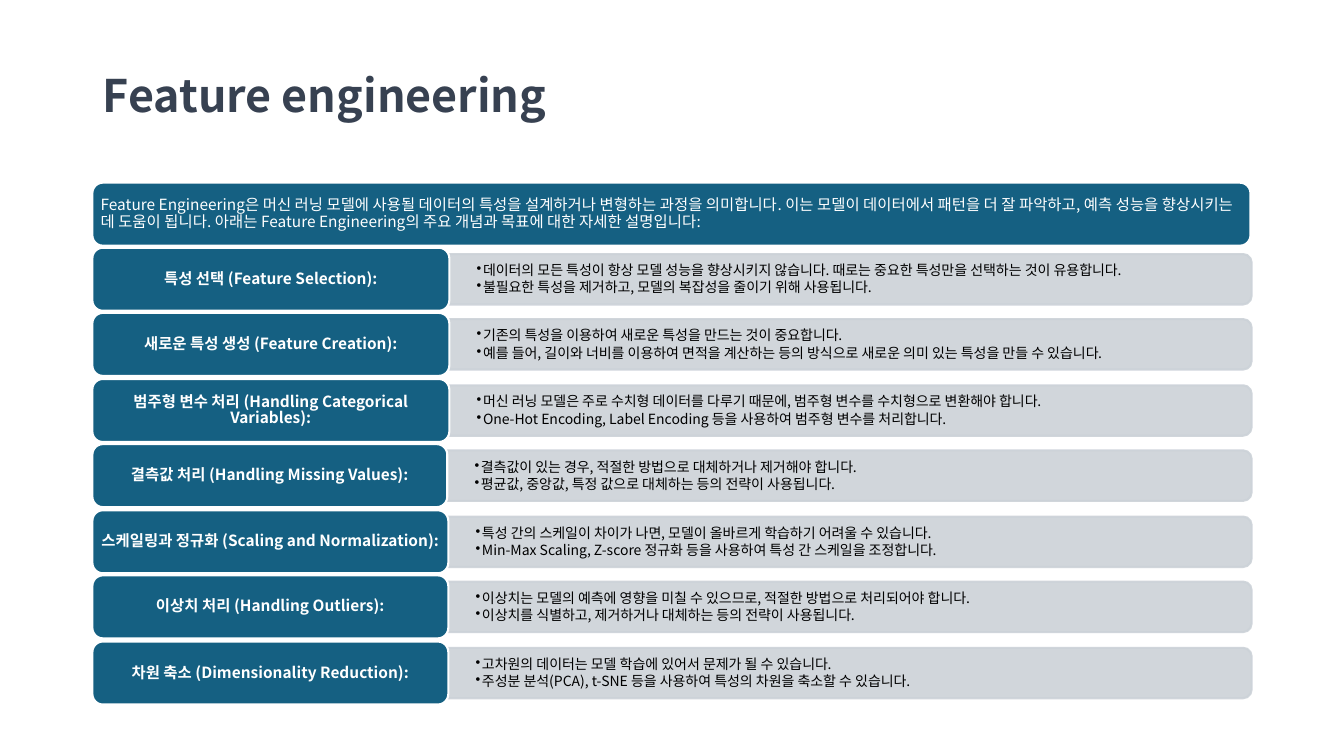
from lxml import etree
from pptx import Presentation
from pptx.dml.color import RGBColor
from pptx.enum.shapes import MSO_SHAPE
from pptx.enum.text import MSO_ANCHOR, PP_ALIGN
from pptx.oxml.ns import qn
from pptx.util import Pt

ROUND = MSO_SHAPE.ROUNDED_RECTANGLE
CAPPED = MSO_SHAPE.ROUND_2_SAME_RECTANGLE
MIDDLE = MSO_ANCHOR.MIDDLE
LEFT, CENTER = PP_ALIGN.LEFT, PP_ALIGN.CENTER

SCALE = 9525
FONT = "Noto Sans CJK KR"
COLORS = {
    "title": "374151",
    "teal": "156082",
    "gray": "CCD2D8",
    "white": "FFFFFF",
    "black": "000000",
}

EDGE, RIGHT = 88, 1192
TOP, HIGH, THICK = 236, 60, 48

INTRO = (
    "Feature Engineering은 머신 러닝 모델에 사용될 데이터의 특성을 설계하거나 "
    "변형하는 과정을 의미합니다. 이는 모델이 데이터에서 패턴을 더 잘 파악하고, "
    "예측 성능을 향상시키는 데 도움이 됩니다. 아래는 Feature Engineering의 주요 "
    "개념과 목표에 대한 자세한 설명입니다:"
)
ROWS = [
    (340, "특성 선택 (Feature Selection):", [
        "데이터의 모든 특성이 항상 모델 성능을 향상시키지 않습니다. 때로는 중요한 특성만을 선택하는 것이 유용합니다.",
        "불필요한 특성을 제거하고, 모델의 복잡성을 줄이기 위해 사용됩니다.",
    ]),
    (340, "새로운 특성 생성 (Feature Creation):", [
        "기존의 특성을 이용하여 새로운 특성을 만드는 것이 중요합니다.",
        "예를 들어, 길이와 너비를 이용하여 면적을 계산하는 등의 방식으로 새로운 의미 있는 특성을 만들 수 있습니다.",
    ]),
    (340, "범주형 변수 처리 (Handling Categorical Variables):", [
        "머신 러닝 모델은 주로 수치형 데이터를 다루기 때문에, 범주형 변수를 수치형으로 변환해야 합니다.",
        "One-Hot Encoding, Label Encoding 등을 사용하여 범주형 변수를 처리합니다.",
    ]),
    (338, "결측값 처리 (Handling Missing Values):", [
        "결측값이 있는 경우, 적절한 방법으로 대체하거나 제거해야 합니다.",
        "평균값, 중앙값, 특정 값으로 대체하는 등의 전략이 사용됩니다.",
    ]),
    (339, "스케일링과 정규화 (Scaling and Normalization):", [
        "특성 간의 스케일이 차이가 나면, 모델이 올바르게 학습하기 어려울 수 있습니다.",
        "Min-Max Scaling, Z-score 정규화 등을 사용하여 특성 간 스케일을 조정합니다.",
    ]),
    (339, "이상치 처리 (Handling Outliers):", [
        "이상치는 모델의 예측에 영향을 미칠 수 있으므로, 적절한 방법으로 처리되어야 합니다.",
        "이상치를 식별하고, 제거하거나 대체하는 등의 전략이 사용됩니다.",
    ]),
    (339, "차원 축소 (Dimensionality Reduction):", [
        "고차원의 데이터는 모델 학습에 있어서 문제가 될 수 있습니다.",
        "주성분 분석(PCA), t-SNE 등을 사용하여 특성의 차원을 축소할 수 있습니다.",
    ]),
]


def emu(*sizes):
    return [round(size * SCALE) for size in sizes]


def shade(name):
    return RGBColor.from_string(COLORS[name])


def add_bullet(para):
    props = para._p.get_or_add_pPr()
    indent = emu(6)[0]
    props.set("marL", str(indent))
    props.set("indent", str(-indent))
    etree.SubElement(props, qn("a:buChar")).set("char", "•")


def write(shape, lines, size, color, bold=False, align=LEFT,
          inset=(5, 2), bullet=False, after=0):
    frame = shape.text_frame
    frame.word_wrap = True
    frame.vertical_anchor = MIDDLE
    frame.margin_left = frame.margin_right = emu(inset[0])[0]
    frame.margin_top = frame.margin_bottom = emu(inset[1])[0]
    for i, line in enumerate(lines):
        para = frame.paragraphs[0] if i == 0 else frame.add_paragraph()
        para.alignment = align
        para.line_spacing = 0.9
        para.space_after = Pt(after)
        if bullet:
            para.level = 1
            add_bullet(para)
        run = para.add_run()
        run.text = line
        font = run.font
        font.name = FONT
        font.size = Pt(size)
        font.bold = bold
        font.color.rgb = shade(color)


def add_text(slide, box, lines, **style):
    write(slide.shapes.add_textbox(*emu(*box)), lines, **style)


def add_block(slide, kind, box, fill, line):
    shape = slide.shapes.add_shape(kind, *emu(*box))
    shape.shadow.inherit = False
    shape.fill.solid()
    shape.fill.fore_color.rgb = shade(fill)
    shape.line.color.rgb = shade(line)
    shape.line.width = Pt(1.5)
    return shape


def add_label(slide, box, text, **style):
    block = add_block(slide, ROUND, box, "teal", "white")
    write(block, [text], size=11, color="white", **style)


def add_bar(slide, left, mid):
    long = RIGHT - left
    box = ((left + RIGHT - THICK) / 2, mid - long / 2, THICK, long)
    bar = add_block(slide, CAPPED, box, "gray", "gray")
    bar.rotation = 90
    for tint in bar._element.spPr.iter(qn("a:srgbClr")):
        etree.SubElement(tint, qn("a:alpha")).set("val", "90000")


def add_row(slide, top, width, label, points):
    left = EDGE + width
    add_bar(slide, left, top + HIGH // 2)
    add_text(slide, (left, top + 9, RIGHT - left - 3, 43), points,
             size=10, color="black", inset=(26, 13), bullet=True, after=1.5)
    add_label(slide, (EDGE, top, width, HIGH), label, bold=True, align=CENTER)


def main():
    deck = Presentation()
    deck.slide_width, deck.slide_height = emu(1280, 720)
    slide = deck.slides.add_slide(deck.slide_layouts[6])
    add_text(slide, (EDGE, 38, 1104, 110), ["Feature engineering"],
             size=32, color="title", bold=True, inset=(10, 5))
    add_label(slide, (EDGE, 174, 1103, HIGH), INTRO)
    for i, row in enumerate(ROWS):
        add_row(slide, TOP + i * 125 // 2, *row)
    deck.save("out.pptx")


if __name__ == "__main__":
    main()
